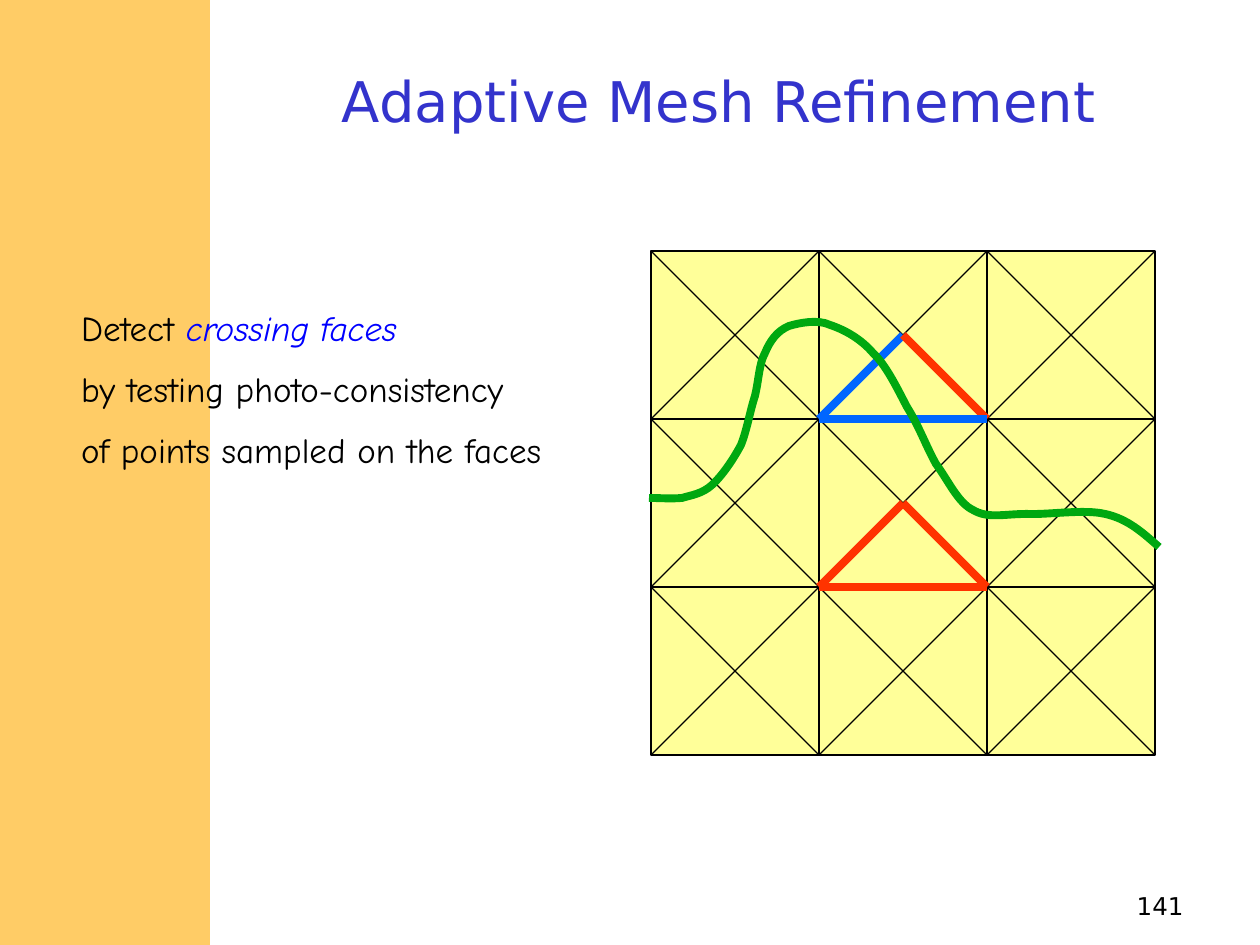
from itertools import product

from lxml import etree
from pptx import Presentation
from pptx.dml.color import RGBColor
from pptx.enum.shapes import MSO_CONNECTOR as Link, MSO_SHAPE as Shape
from pptx.enum.text import MSO_ANCHOR as Anchor, MSO_AUTO_SIZE as Fit, PP_ALIGN as Align
from pptx.oxml.ns import qn
from pptx.util import Emu, Pt

SCALE = 914400 / 126
LEFT, TOP, CELL, COUNT = 651, 251, 168, 3
BLACK, BLUE, RED, GREEN = "000000", "0066FF", "FF3300", "00A810"
SANS, COMIC = "DejaVu Sans", "Comic Neue"

# Start point, then two control points and an end point for each bend
CURVE = [
    (1159, 547),
    (1143, 533), (1128, 519), (1105, 514),
    (1084, 509), (1048, 515), (1027, 514),
    (1004, 514), (988, 519), (973, 510),
    (958, 503), (948, 480), (936, 464),
    (926, 446), (919, 426), (907, 407),
    (897, 388), (886, 365), (873, 353),
    (861, 339), (845, 330), (830, 325),
    (818, 319), (799, 323), (789, 326),
    (777, 331), (770, 341), (765, 353),
    (759, 364), (759, 379), (755, 396),
    (750, 411), (747, 430), (741, 445),
    (733, 460), (722, 476), (712, 485),
    (702, 494), (692, 495), (682, 498),
    (670, 499), (660, 498), (649, 498),
]


def px(*vals):
    return [Emu(round(v * SCALE)) for v in vals]


def color(code):
    return RGBColor.from_string(code)


def place(shape, box):
    shape.left, shape.top, shape.width, shape.height = px(*box)


def stroke(shape, code, width):
    shape.line.color.rgb = color(code)
    shape.line.width = Pt(width)


def rect(shapes, box, fill, edge=None):
    shape = shapes.add_shape(Shape.RECTANGLE, *px(*box))
    shape.shadow.inherit = False
    shape.fill.solid()
    shape.fill.fore_color.rgb = color(fill)
    if edge:
        stroke(shape, edge, 0.75)
    else:
        shape.line.fill.background()
    return shape


def line(shapes, start, end, code=BLACK, width=0.75):
    link = shapes.add_connector(Link.STRAIGHT, *px(*start, *end))
    stroke(link, code, width)
    etree.SubElement(link._element.spPr, qn("a:effectLst"))


def write(shape, lines, font=SANS, size=14, align=Align.LEFT,
          anchor=Anchor.TOP, gap=0, inset=13):
    """Fill a shape with paragraphs, each a list of (text, colour, italic) runs."""
    frame = shape.text_frame
    frame.word_wrap = True
    frame.auto_size = Fit.NONE
    frame.vertical_anchor = anchor
    frame.margin_left, frame.margin_top = px(inset, 6)
    for i, runs in enumerate(lines):
        para = frame.add_paragraph() if i else frame.paragraphs[0]
        props = para._p.get_or_add_pPr()
        props.set("marL", "0")
        props.set("indent", "0")
        etree.SubElement(props, qn("a:buNone"))
        para.alignment = align
        para.space_before = Pt(gap if i else 0)
        for text, code, slant in runs:
            run = para.add_run()
            run.text = text
            run.font.name = font
            run.font.size = Pt(size)
            run.font.italic = slant
            run.font.color.rgb = color(code)


def mesh(shapes):
    for row, col in product(range(COUNT), repeat=2):
        x, y = LEFT + col * CELL, TOP + row * CELL
        rect(shapes, (x, y, CELL, CELL), "FFFF99", BLACK)
        line(shapes, (x + CELL, y + CELL), (x, y))
        line(shapes, (x + CELL, y), (x, y + CELL))


def face(shapes, row, left, right, base):
    """Outline the lower triangle of the middle cell in a row."""
    x, y = LEFT + CELL, TOP + (row + 1) * CELL
    start, end = (x, y), (x + CELL, y)
    peak = (x + CELL // 2, y - CELL // 2)
    line(shapes, start, peak, left, 4.5)
    line(shapes, peak, end, right, 4.5)
    line(shapes, start, end, base, 4.5)


def curve(shapes, points):
    """Draw a freeform and turn each three straight steps into one bend."""
    first, *rest = points
    pen = shapes.build_freeform(*first, scale=SCALE)
    pen.add_line_segments(rest, close=False)
    shape = pen.convert_to_shape()
    shape.shadow.inherit = False
    shape.fill.background()
    stroke(shape, GREEN, 4.5)
    steps = list(shape._element.iter(qn("a:lnTo")))
    for i in range(0, len(steps), 3):
        bend = etree.Element(qn("a:cubicBezTo"))
        steps[i].addprevious(bend)
        for step in steps[i:i + 3]:
            bend.append(step[0])
            step.getparent().remove(step)


def main():
    deck = Presentation()
    deck.slide_width, deck.slide_height = px(1260, 945)
    slide = deck.slides.add_slide(deck.slide_layouts[1])
    shapes = slide.shapes
    title, body = slide.placeholders

    bar = rect(shapes, (0, 0, 210, 945), "FFCC66")
    title._element.addprevious(bar._element)

    place(title, (210, 53, 1018, 95))
    write(title, [[("Adaptive Mesh Refinement", "3333CC", False)]],
          size=32, align=Align.CENTER, anchor=Anchor.MIDDLE)

    place(body, (58, 300, 542, 180))
    write(body, [
        [("Detect ", BLACK, False), ("crossing faces", "0000FF", True)],
        [("by testing photo-consistency", BLACK, False)],
        [("of points sampled on the faces", BLACK, False)],
    ], font=COMIC, size=20, gap=11, inset=23)

    number = shapes.add_textbox(*px(1082, 885, 114, 34))
    write(number, [[("141", BLACK, False)]], align=Align.RIGHT)

    mesh(shapes)
    face(shapes, 0, BLUE, RED, BLUE)
    face(shapes, 1, RED, RED, RED)
    curve(shapes, CURVE)
    deck.save("out.pptx")


if __name__ == "__main__":
    main()
